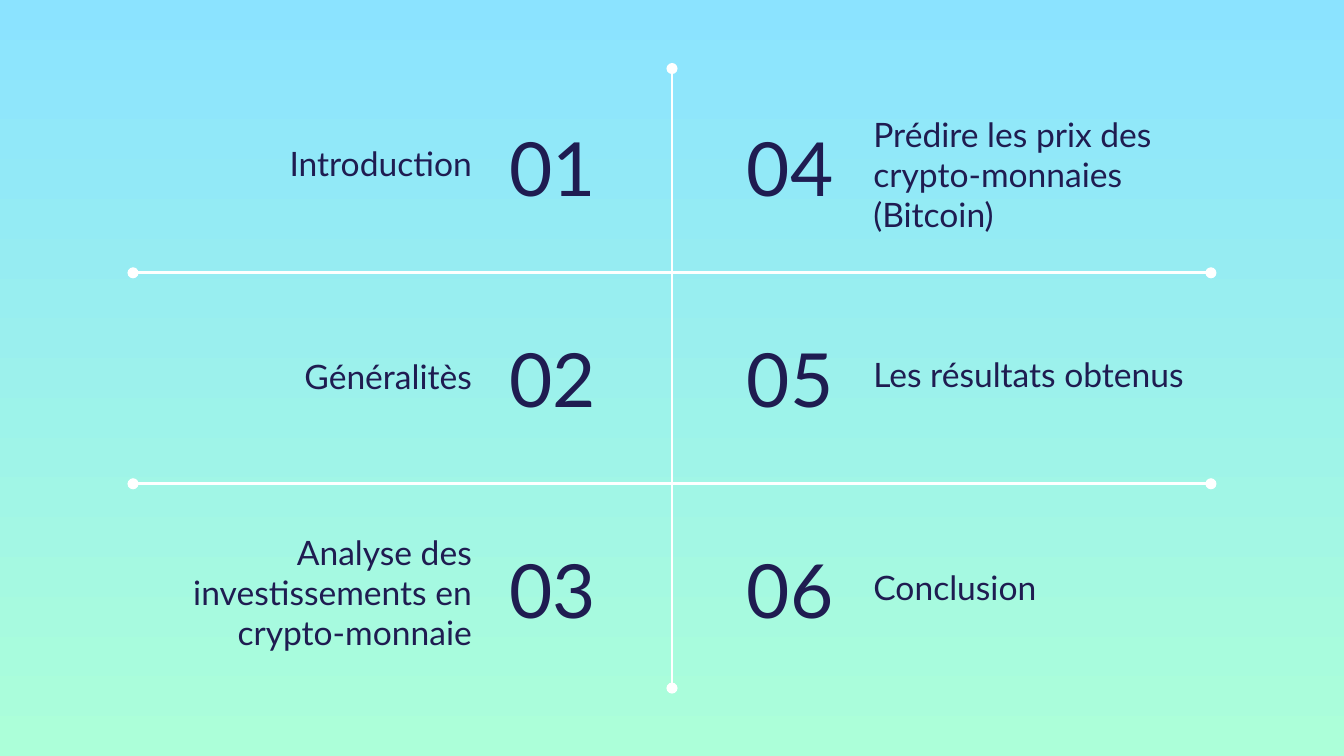
"""Build a six-entry agenda slide on a two-column, three-row grid."""
from dataclasses import dataclass

from lxml import etree
from pptx import Presentation
from pptx.dml.color import RGBColor
from pptx.enum.shapes import MSO_CONNECTOR
from pptx.enum.text import MSO_ANCHOR, MSO_AUTO_SIZE, PP_ALIGN
from pptx.oxml.ns import qn
from pptx.util import Inches, Pt

LEFT, RIGHT = PP_ALIGN.LEFT, PP_ALIGN.RIGHT
MIDDLE, BOTTOM = MSO_ANCHOR.MIDDLE, MSO_ANCHOR.BOTTOM
NO_FIT = MSO_AUTO_SIZE.NONE
STRAIGHT = MSO_CONNECTOR.STRAIGHT

SKY = RGBColor(0x8B, 0xE3, 0xFF)
MINT = RGBColor(0xAC, 0xFF, 0xD9)
NAVY = RGBColor(0x1F, 0x1C, 0x51)
WHITE = RGBColor(0xFF, 0xFF, 0xFF)
FONT = "Lato"

WIDTH = 10
HEIGHT = WIDTH * 9 / 16
CENTER = WIDTH / 2
ROWS, ROW_PITCH, FIRST_ROW, FIRST_RULE = 3, 1.57, 1.24, 2.03
NUMBER_W, NUMBER_H = 1.3, 0.86
LABEL_W, LINE_H, INSET = 2.98, 0.31, 0.1
NUMBER_X = (CENTER - NUMBER_W - 0.01, CENTER)
LABEL_X = (0.63, 6.4)
NUMBER_ALIGN = (LEFT, RIGHT)
LABEL_ALIGN = (RIGHT, LEFT)


@dataclass(frozen=True)
class Entry:
    label: str
    lines: int = 1
    shift: float = -0.03


@dataclass(frozen=True)
class Rule:
    x1: float
    y1: float
    x2: float
    y2: float


ENTRIES = (
    Entry("Introduction"),
    Entry("Généralitès", shift=-0.02),
    Entry("Analyse des investissements en crypto-monnaie", 3, 0.01),
    Entry("Prédire les prix des crypto-monnaies (Bitcoin)", 3, 0.04),
    Entry("Les résultats obtenus"),
    Entry("Conclusion", shift=-0.02),
)


def grid_y(first: float, row: int) -> float:
    return first + row * ROW_PITCH


RULES = (
    Rule(CENTER, 0.51, CENTER, 5.12),
    *(Rule(0.99, grid_y(FIRST_RULE, row), 9.01, grid_y(FIRST_RULE, row))
      for row in range(ROWS - 1)),
)


def put_text(s, text: str, *, x: float, middle: float, w: float, h: float,
             size: int, align, anchor, holder=None) -> None:
    box = (Inches(x), Inches(middle - h / 2), Inches(w), Inches(h))
    sp = holder or s.shapes.add_textbox(*box)
    sp.left, sp.top, sp.width, sp.height = box
    tf = sp.text_frame
    tf.word_wrap = True
    tf.auto_size = NO_FIT
    tf.vertical_anchor = anchor
    tf.margin_left = tf.margin_right = Inches(INSET)
    tf.margin_top = tf.margin_bottom = Inches(INSET)
    p = tf.paragraphs[0]
    p.alignment = align
    r = p.add_run()
    r.text = text
    r.font.name = FONT
    r.font.size = Pt(size)
    r.font.color.rgb = NAVY


def draw_entry(s, index: int, entry: Entry) -> None:
    col, row = divmod(index, ROWS)
    middle = grid_y(FIRST_ROW, row)
    put_text(s, f"{index + 1:02}", x=NUMBER_X[col], middle=middle,
             w=NUMBER_W, h=NUMBER_H, size=40, align=NUMBER_ALIGN[col],
             anchor=MIDDLE, holder=s.shapes.title if index == 0 else None)
    put_text(s, entry.label, x=LABEL_X[col], middle=middle + entry.shift,
             w=LABEL_W, h=2 * INSET + entry.lines * LINE_H, size=18,
             align=LABEL_ALIGN[col], anchor=BOTTOM)


def draw_rule(s, rule: Rule) -> None:
    ends = (Inches(v) for v in (rule.x1, rule.y1, rule.x2, rule.y2))
    sp = s.shapes.add_connector(STRAIGHT, *ends)
    sp.line.color.rgb = WHITE
    sp.line.width = Pt(1.5)
    ln = sp.line._get_or_add_ln()
    for tag in ("a:headEnd", "a:tailEnd"):
        etree.SubElement(ln, qn(tag), type="oval")
    etree.SubElement(sp._element.spPr, qn("a:effectLst"))


def paint_background(s) -> None:
    fill = s.background.fill
    fill.gradient()
    fill.gradient_angle = 270
    for stop, color, position in zip(fill.gradient_stops, (SKY, MINT), (0, 1)):
        stop.color.rgb = color
        stop.position = position


def main() -> None:
    prs = Presentation()
    prs.slide_width, prs.slide_height = Inches(WIDTH), Inches(HEIGHT)
    s = prs.slides.add_slide(prs.slide_layouts.get_by_name("Title Only"))
    paint_background(s)
    for rule in RULES:
        draw_rule(s, rule)
    for index, entry in enumerate(ENTRIES):
        draw_entry(s, index, entry)
    prs.save("out.pptx")


if __name__ == "__main__":
    main()
